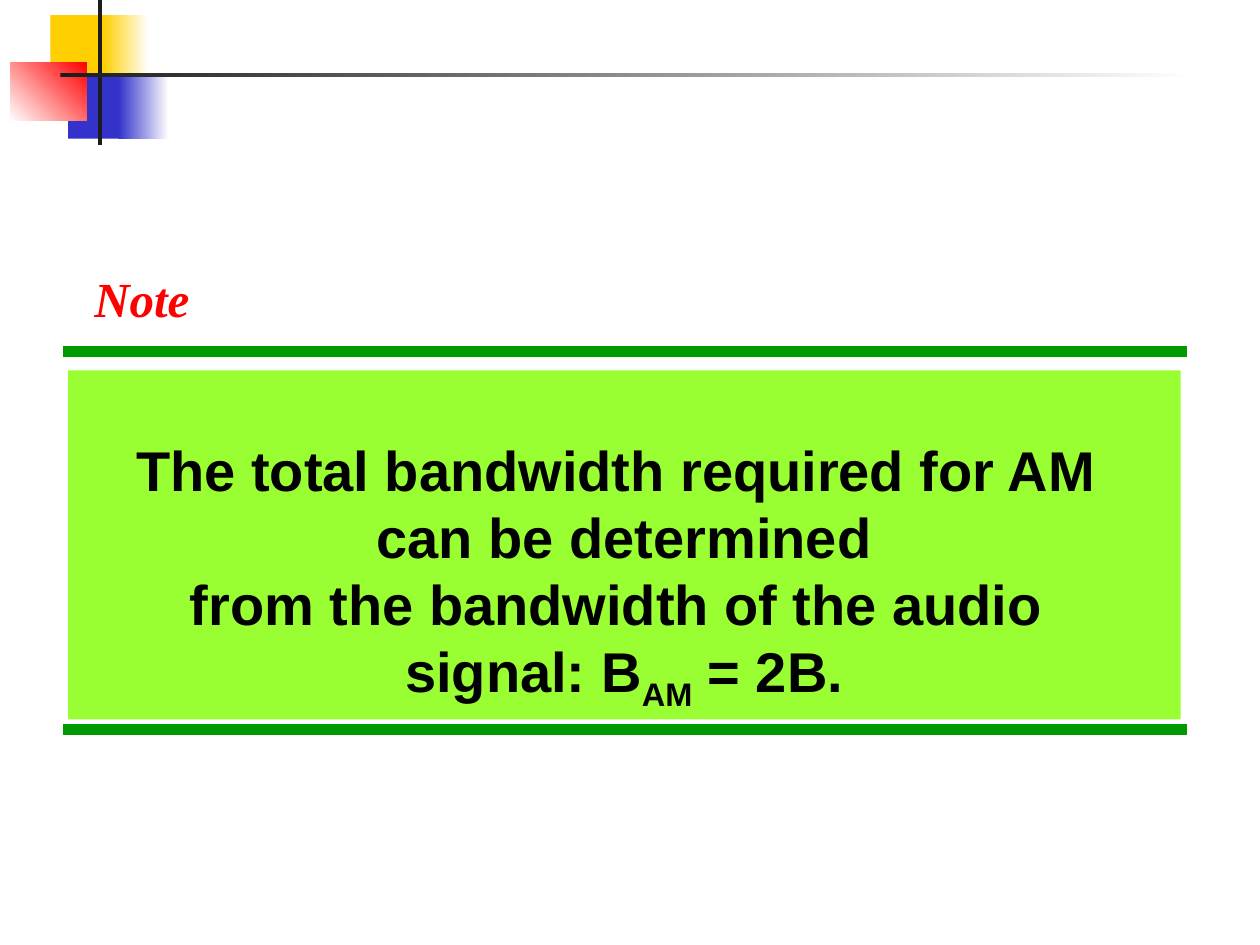
from pptx import Presentation, util as u
from pptx.dml import color
from pptx.enum import shapes, text
from pptx.oxml import ns, xmlchemy

COLORS = {
    "yellow": "FFCF01", "blue": "3333CC", "red": "FF0000", "ink": "1C1C1C",
    "white": "FFFFFF", "rule": "009900", "panel": "99FF33", "black": "000000",
}
BODY = {"name": "Arial", "size": u.Pt(32), "bold": True}
NOTE = {"name": "Times New Roman", "size": u.Pt(28), "bold": True, "italic": True}


def px(n):
    return u.Emu(n * 9144)


def rgb(name):
    return color.RGBColor.from_string(COLORS[name])


class Deck:
    """Hold the presentation style and current slide, and draw each kind of element."""

    def __init__(self, width, height):
        self.prs = Presentation()
        self.prs.slide_width, self.prs.slide_height = px(width), px(height)
        self.s = self.prs.slides.add_slide(self.prs.slide_layouts[6])

    def rect(self, box, *fills, angle=0):
        sp = self.s.shapes.add_shape(shapes.MSO_SHAPE.RECTANGLE, *map(px, box))
        sp.shadow.inherit = False
        sp.line.fill.background()
        if len(fills) == 1:
            sp.fill.solid()
            sp.fill.fore_color.rgb = rgb(fills[0])
        else:
            sp.fill.gradient()
            sp.fill.gradient_angle = angle
            for stop, fill, position in zip(sp.fill.gradient_stops, fills, (0, 1)):
                stop.color.rgb = rgb(fill)
                stop.position = position
        return sp

    def rule(self, left, right, y):
        line = self.s.shapes.add_connector(
            shapes.MSO_CONNECTOR.STRAIGHT, px(left), px(y), px(right), px(y))
        line.line.color.rgb = rgb("rule")
        line.line.width = u.Pt(6)
        sp_pr = line._element.spPr
        sp_pr.append(xmlchemy.OxmlElement("a:effectLst"))

    def run(self, p, words, style, fill, baseline=0):
        r = p.add_run()
        r.text = words
        for key, value in style.items():
            setattr(r.font, key, value)
        r.font.color.rgb = rgb(fill)
        if baseline:
            r._r.get_or_add_rPr().set("baseline", str(baseline))

    def panel(self, box, paragraphs):
        tf = self.rect(box, "panel").text_frame
        tf.word_wrap = True
        tf.vertical_anchor = text.MSO_ANCHOR.BOTTOM
        for i, lines in enumerate(paragraphs):
            p = tf.add_paragraph() if i else tf.paragraphs[0]
            p.alignment = text.PP_ALIGN.CENTER
            for j, runs in enumerate(lines):
                if j:
                    p.add_line_break()
                for words, baseline in runs:
                    self.run(p, words, BODY, "black", baseline)

    def label(self, box, words):
        tf = self.s.shapes.add_textbox(*map(px, box)).text_frame
        tf.word_wrap = False
        self.run(tf.paragraphs[0], words, NOTE, "red")


def main():
    deck = Deck(1000, 750)
    deck.rect((40, 12, 48, 52), "yellow")
    deck.rect((82, 12, 36, 52), "yellow", "white")
    deck.rect((54, 58, 46, 52), "blue")
    deck.rect((94, 58, 40, 52), "blue", "white")
    deck.rect((8, 50, 61, 46), "white", "red", angle=45)
    deck.rect((78, 0, 3, 115), "ink")
    deck.rect((48, 58, 900, 3), "ink", "white")
    for y in (279, 579):
        deck.rule(50, 942, y)
    deck.panel((54, 294, 883, 277), [
        [[("The total bandwidth required for AM ", 0)],
         [("can be determined", 0)]],
        [[("from the bandwidth of the audio ", 0)],
         [("signal: B", 0), ("AM", -25000), (" = 2B.", 0)]],
    ])
    deck.label((65, 208, 96, 57), "Note")
    deck.prs.save("out.pptx")


if __name__ == "__main__":
    main()
